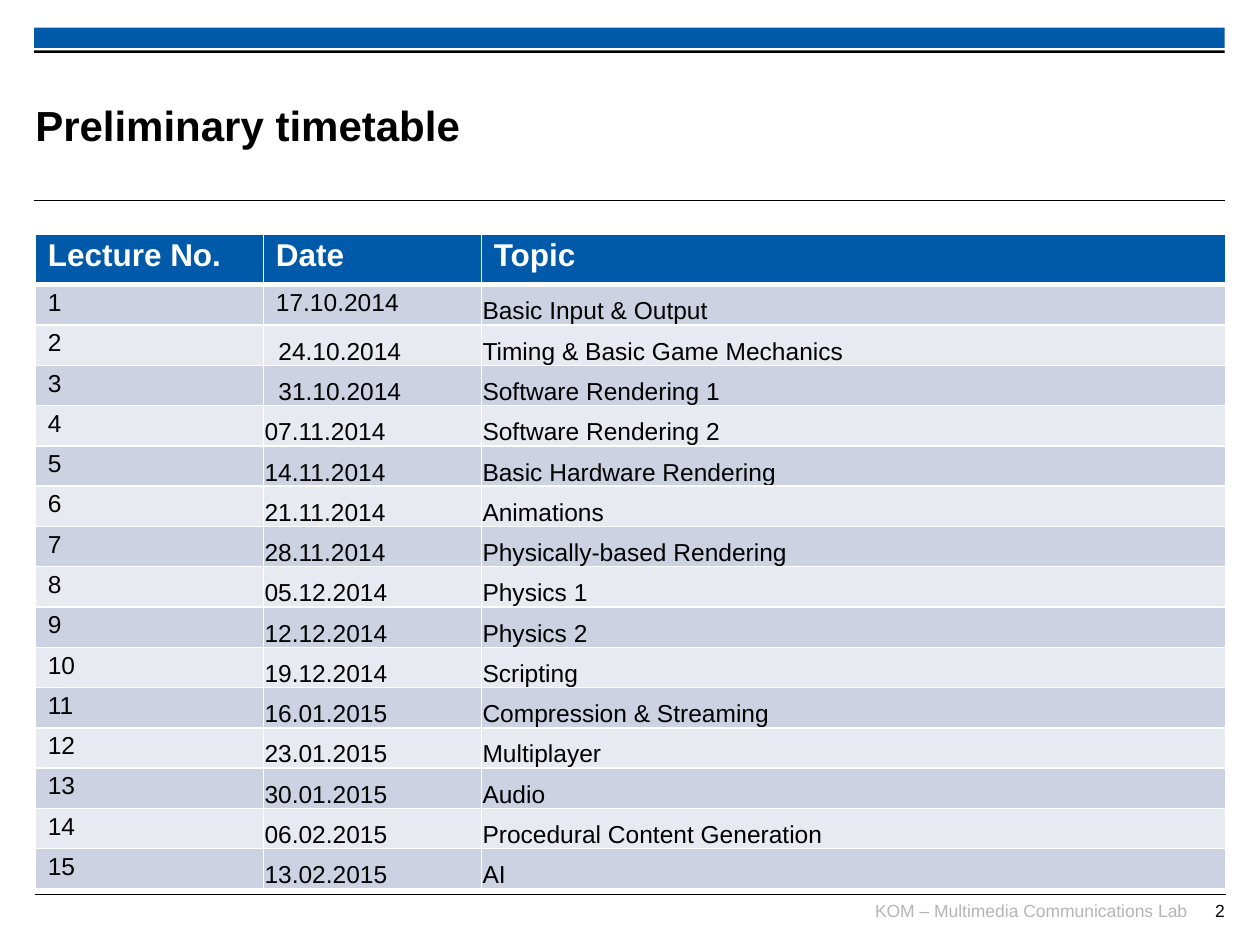
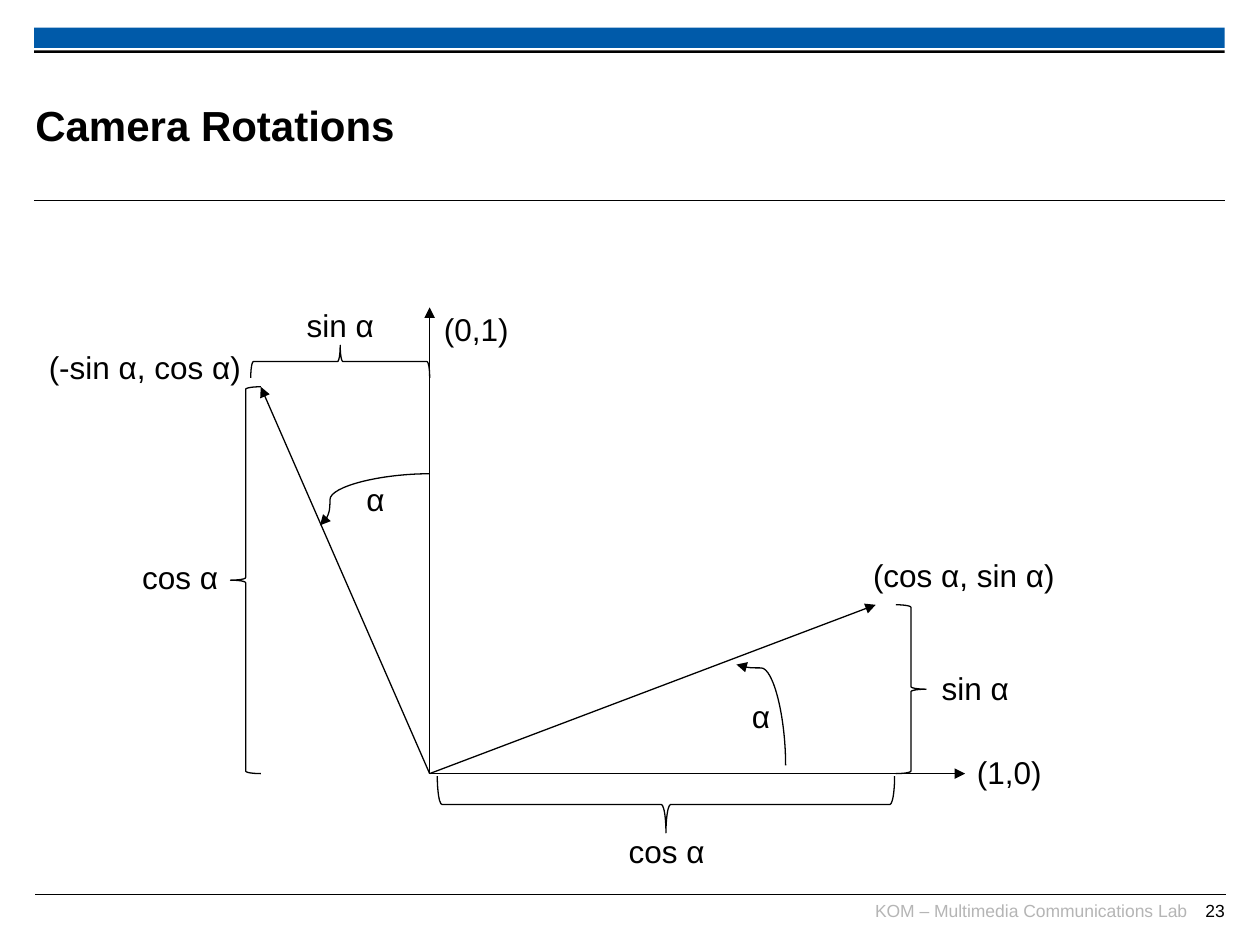
from lxml.etree import SubElement
from pptx import Presentation
from pptx.dml.color import RGBColor
from pptx.enum.shapes import MSO_CONNECTOR as Link, MSO_SHAPE as Kind
from pptx.enum.text import MSO_ANCHOR as Anchor, MSO_AUTO_SIZE as Fit, PP_ALIGN as Align
from pptx.oxml.ns import qn
from pptx.util import Inches, Pt

BLUE = RGBColor(0x00, 0x5A, 0xA9)
BLACK = RGBColor(0x00, 0x00, 0x00)
WHITE = RGBColor(0xFF, 0xFF, 0xFF)
GREY = RGBColor(0xB5, 0xB5, 0xB5)
DARK = RGBColor(0xCC, 0xD2, 0xE2)
LIGHT = RGBColor(0xE7, 0xEA, 0xF1)

LEFT, WIDE = 0.28, 9.45
FLAT = dict.fromkeys(("margin_left", "margin_top", "margin_right", "margin_bottom"), 0)
HEAD = {"size": Pt(18), "bold": True}
BODY = {"size": Pt(14), "bold": False}
SMALL = {"size": Pt(10)}
LABEL = {"size": Pt(18)}

LESSONS = [
    ("17.10.2014", "Basic Input & Output"),
    ("24.10.2014", "Timing & Basic Game Mechanics"),
    ("31.10.2014", "Software Rendering 1"),
    ("07.11.2014", "Software Rendering 2"),
    ("14.11.2014", "Basic Hardware Rendering"),
    ("21.11.2014", "Animations"),
    ("28.11.2014", "Physically-based Rendering"),
    ("05.12.2014", "Physics 1"),
    ("12.12.2014", "Physics 2"),
    ("19.12.2014", "Scripting"),
    ("16.01.2015", "Compression & Streaming"),
    ("23.01.2015", "Multiplayer"),
    ("30.01.2015", "Audio"),
    ("06.02.2015", "Procedural Content Generation"),
    ("13.02.2015", "AI"),
]


def apply(item, form):
    for name, value in form.items():
        setattr(item, name, value)


def write(frame, text, form, color=BLACK, align=Align.LEFT, space=0.93):
    para = frame.paragraphs[0]
    apply(para, {"alignment": align, "line_spacing": space})
    run = para.add_run()
    run.text = text
    apply(run.font, {"name": "Arial", **form})
    run.font.color.rgb = color


def add_line(slide, start, end, width=0.75, kind=Link.STRAIGHT, arrow=False):
    line = slide.shapes.add_connector(kind, *map(Inches, (*start, *end)))
    line.line.color.rgb = BLACK
    line.line.width = Pt(width)
    if arrow:
        SubElement(line.line._get_or_add_ln(), qn("a:tailEnd"), type="triangle")
    SubElement(line._element.spPr, qn("a:effectLst"))
    return line


def add_bar(slide, box, color):
    bar = slide.shapes.add_shape(Kind.RECTANGLE, *map(Inches, box))
    bar.shadow.inherit = False
    bar.fill.solid()
    bar.fill.fore_color.rgb = color
    bar.line.fill.background()


def add_note(slide, box, text, color, inset=0):
    frame = slide.shapes.add_textbox(*map(Inches, box)).text_frame
    apply(frame, {**FLAT, "word_wrap": True, "margin_right": Inches(inset)})
    write(frame, text, SMALL, color, Align.RIGHT, 1.0)


# Shared frame: bands, rules, footer and title
def add_page(deck, title, number):
    slide = deck.slides.add_slide(deck.slide_layouts[5])
    add_line(slide, (LEFT, 7.1), (LEFT + WIDE, 7.1), 0.6)
    add_bar(slide, (0.27, 0.22, WIDE, 0.16), BLUE)
    add_line(slide, (0.27, 1.59), (0.27 + WIDE, 1.59), 0.6)
    add_bar(slide, (0.27, 0.4, WIDE, 0.02), BLACK)
    add_note(slide, (6.89, 7.14, 2.6, 0.25), "KOM – Multimedia Communications Lab", GREY, 0.07)
    add_note(slide, (9.29, 7.14, 0.43, 0.24), str(number), BLACK)

    head = slide.shapes.title
    for name, value in zip(("left", "top", "width", "height"), (LEFT, 0.53, 7.52, 0.92)):
        setattr(head, name, Inches(value))
    apply(head.text_frame, {**FLAT, "vertical_anchor": Anchor.MIDDLE,
                            "word_wrap": True, "auto_size": Fit.NONE})
    write(head.text_frame, title, {"size": Pt(24), "bold": True}, space=1.0)
    return slide


# Timetable
def add_edges(cell, base):
    props = cell._tc.get_or_add_tcPr()
    for side, width in (("L", 1), ("R", 1), ("T", 1), ("B", base)):
        edge = SubElement(props, qn(f"a:ln{side}"), w=str(Pt(width)))
        fill = SubElement(edge, qn("a:solidFill"))
        SubElement(fill, qn("a:srgbClr"), val=str(WHITE))


def fill_cell(cell, text, fill, form, color=BLACK, base=1):
    add_edges(cell, base)
    cell.fill.solid()
    cell.fill.fore_color.rgb = fill
    write(cell.text_frame, text, form, color)


def sink(cell, indent=0.01):
    """Set the text on the bottom edge, with hardly any margin."""
    apply(cell, {"vertical_anchor": Anchor.BOTTOM, "margin_left": Inches(indent),
                 "margin_top": Inches(0.01), "margin_right": Inches(0.01),
                 "margin_bottom": 0})


def add_plan(slide, left, top):
    cols, head, step = (1.81, 1.73, 5.91), 0.4, 0.32
    rows = len(LESSONS) + 1
    size = (sum(cols), head + step * len(LESSONS))
    table = slide.shapes.add_table(rows, len(cols), *map(Inches, (left, top, *size))).table
    table.horz_banding = False
    for col, width in zip(table.columns, cols):
        col.width = Inches(width)
    for row in range(rows):
        table.rows[row].height = Inches(step if row else head)

    for col, text in enumerate(("Lecture No.", "Date", "Topic")):
        fill_cell(table.cell(0, col), text, BLUE, HEAD, WHITE, 3)
    for row, (date, topic) in enumerate(LESSONS, 1):
        for col, text in enumerate((str(row), date, topic)):
            fill_cell(table.cell(row, col), text, DARK if row % 2 else LIGHT, BODY)
        if row > 1:
            sink(table.cell(row, 1), 0.12 if row < 4 else 0.01)
        sink(table.cell(row, 2))


# Rotation diagram, measured from the point where the axes meet
def add_graph(slide, left, top):
    def at(x, y):
        return left + x, top + y

    sin, cos = 1.34, 3.07
    tips = [(0, -3.7), (4.25, 0), (-sin, -cos), (3.54, -sin)]
    for tip in tips:
        add_line(slide, at(0, 0), at(*tip), arrow=True)

    braces = [
        (Kind.RIGHT_BRACE, 3.7, -sin, 0.24, sin, 0),
        (Kind.LEFT_BRACE, -1.58, -cos, 0.24, cos, 0),
        (Kind.LEFT_BRACE, -0.84, -3.98, 0.26, 1.42, 90),
        (Kind.RIGHT_BRACE, 1.65, -1.57, 0.45, 3.63, 90),
    ]
    for kind, x, y, width, height, turn in braces:
        brace = slide.shapes.add_shape(kind, *map(Inches, (*at(x, y), width, height)))
        brace.shadow.inherit = False
        brace.fill.background()
        brace.line.color.rgb = BLACK
        brace.line.width = Pt(0.75)
        brace.rotation = turn

    # Angle arcs: start, end, bend in 1/1000 %, turn in degrees
    arcs = [
        ((2.23, -0.27), (3.03, -0.66), 96700, 270),
        ((0, -2.38), (-0.87, -1.97), 90900, 0),
    ]
    for start, end, bend, turn in arcs:
        arc = add_line(slide, at(*start), at(*end), kind=Link.CURVE, arrow=True)
        props = arc._element.spPr
        if turn:
            props.find(qn("a:xfrm")).set("rot", str(turn * 60000))
        guides = props.find(qn("a:prstGeom")).find(qn("a:avLst"))
        SubElement(guides, qn("a:gd"), name="adj1", fmla=f"val {bend}")

    # Labels: text, middle, width
    labels = [
        ("sin α", 4.33, -0.66, 1.02),
        ("cos α", 1.88, 0.63, 0.81),
        ("cos α", -1.98, -1.54, 0.81),
        ("sin α", -0.71, -3.54, 0.74),
        ("(0,1)", 0.37, -3.51, 0.72),
        ("(1,0)", 4.6, 0, 0.72),
        ("(cos α, sin α)", 4.24, -1.56, 1.66),
        ("(-sin α, cos α)", -2.26, -3.21, 1.74),
        ("α", 2.63, -0.44, 0.35),
        ("α", -0.43, -2.16, 0.35),
    ]
    high = 0.38
    for text, x, y, width in labels:
        spot = at(x - width / 2, y - high / 2)
        frame = slide.shapes.add_textbox(*map(Inches, (*spot, width, high))).text_frame
        apply(frame, {"word_wrap": False, "auto_size": Fit.SHAPE_TO_FIT_TEXT})
        write(frame, text, LABEL, align=Align.CENTER)


def main():
    deck = Presentation()
    apply(deck, {"slide_width": Inches(10), "slide_height": Inches(7.5)})
    add_plan(add_page(deck, "Preliminary timetable", 2), LEFT, 1.86)
    add_graph(add_page(deck, "Camera Rotations", 23), 3.41, 6.14)
    deck.save("out.pptx")


if __name__ == "__main__":
    main()
